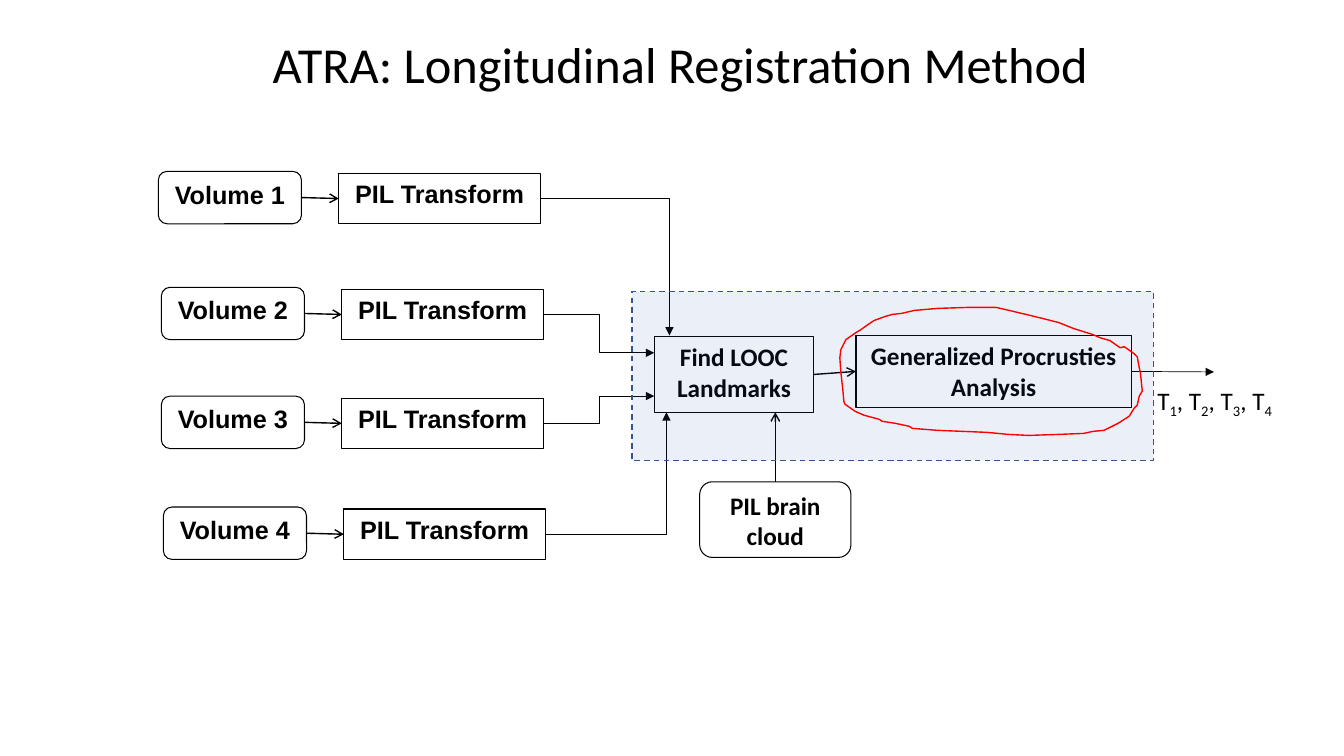
from dataclasses import dataclass

from lxml.etree import SubElement
from pptx import Presentation
from pptx.dml.color import RGBColor
from pptx.enum.dml import MSO_LINE_DASH_STYLE as Dash
from pptx.enum.shapes import MSO_CONNECTOR as Link, MSO_SHAPE as Preset
from pptx.enum.text import MSO_ANCHOR as Anchor, MSO_AUTO_SIZE as AutoSize, PP_ALIGN as Align
from pptx.oxml.ns import qn
from pptx.shapes.autoshape import Shape
from pptx.shapes.connector import Connector
from pptx.util import Emu, Inches, Pt

BLACK = RGBColor(0x00, 0x00, 0x00)
RED = RGBColor(0xFF, 0x00, 0x00)
BLUE = RGBColor(0x44, 0x72, 0xC4)
DARK_BLUE = RGBColor(0x32, 0x54, 0x91)

# The slide is a grid of 75 rows; columns are as wide as rows are high
SLIDE_WIDTH, SLIDE_HEIGHT = Inches(13.33), Inches(7.5)
CELL = SLIDE_HEIGHT // 75
TOP, LEFT, BOTTOM, RIGHT = range(4)


@dataclass(frozen=True)
class Area:
    """A rectangle in columns and rows of the grid."""
    column: float
    row: float
    columns: float
    rows: float

    def emu(self) -> list[Emu]:
        return [cells(n) for n in (self.column, self.row, self.columns, self.rows)]


@dataclass(frozen=True)
class Lane:
    """One volume, its transform and the way into the landmark step."""
    volume: str
    column: float
    axis: float
    entry: tuple[float, float]
    elbow: str


LANES = [
    Lane("Volume 1", 15.7, 19.7, (66.4, 33.3), "bentConnector2"),
    Lane("Volume 2", 16, 31.2, (64.9, 35), "bentConnector3"),
    Lane("Volume 3", 16, 42, (64.9, 39.3), "bentConnector3"),
    Lane("Volume 4", 16.2, 53, (66.1, 40.9), "bentConnector2"),
]

# Hand-drawn loop, in tenths of a cell
MARKER_LOOP = [
    (1111, 345), (1101, 338), (1091, 335), (1084, 332), (1065, 326), (1050, 320),
    (1038, 317), (1026, 314), (1001, 308), (988, 305), (960, 305), (930, 306),
    (907, 308), (894, 311), (885, 312), (878, 314), (867, 318), (861, 322),
    (854, 327), (849, 330), (839, 337), (837, 341), (834, 347), (833, 355),
    (834, 369), (836, 387), (837, 398), (838, 401), (848, 408), (857, 412),
    (872, 416), (875, 418), (888, 420), (902, 423), (905, 425), (930, 427),
    (979, 429), (1000, 431), (1020, 432), (1050, 431), (1075, 430), (1084, 428),
    (1095, 427), (1103, 423), (1109, 420), (1120, 413), (1125, 405), (1128, 402),
    (1130, 393), (1133, 388), (1131, 369), (1130, 365), (1128, 354), (1125, 351),
    (1118, 346), (1115, 344),
]


def cells(count: float) -> Emu:
    return Emu(round(count * CELL))


def add_box(shapes, preset: Preset, area: Area, label: str = "", face: str = "Calibri") -> Shape:
    box = shapes.add_shape(preset, *area.emu())
    box.shadow.inherit = False
    box.fill.background()
    box.line.color.rgb = BLACK
    box.line.width = Pt(0.75)
    if label:
        frame = box.text_frame
        frame.word_wrap = True
        frame.vertical_anchor = Anchor.TOP
        frame.text = label
        paragraph = frame.paragraphs[0]
        paragraph.alignment = Align.CENTER
        font = paragraph.font
        font.name, font.size, font.bold = face, Pt(18), True
        font.color.rgb = BLACK
    return box


def add_arrow(shapes, source: Shape, side: int, end: tuple[float, float] = (0, 0),
              target: Shape | None = None, head: str = "arrow",
              width: float = 1, elbow: str = "") -> Connector:
    """Arrow from a side of source to a grid point, or to target's left side."""
    kind = Link.ELBOW if elbow else Link.STRAIGHT
    arrow = shapes.add_connector(kind, 0, 0, cells(end[0]), cells(end[1]))
    arrow.begin_connect(source, side)
    if target is not None:
        arrow.end_connect(target, LEFT)
    arrow.line.color.rgb = BLACK
    arrow.line.width = Pt(width)
    properties = arrow._element.spPr
    if elbow:
        properties.find(qn("a:prstGeom")).set("prst", elbow)
    SubElement(arrow.line._get_or_add_ln(), qn("a:tailEnd"), type=head)
    SubElement(properties, qn("a:effectLst"))
    return arrow


def add_results(shapes, count: int) -> None:
    """List of the resulting transforms, with subscript numbers."""
    results = shapes.add_textbox(*Area(113.8, 37.7, 14, 4).emu())
    results.text_frame.word_wrap = False
    results.text_frame.auto_size = AutoSize.SHAPE_TO_FIT_TEXT
    paragraph = results.text_frame.paragraphs[0]
    paragraph.font.name, paragraph.font.size = "Calibri", Pt(18)
    paragraph.font.color.rgb = BLACK
    for number in range(1, count + 1):
        paragraph.add_run().text = "T" if number == 1 else ", T"
        subscript = paragraph.add_run()
        subscript.text = str(number)
        subscript._r.get_or_add_rPr().set("baseline", "-25000")


def add_stage_frame(shapes) -> None:
    frame = add_box(shapes, Preset.RECTANGLE, Area(62.7, 28.9, 51.7, 16.8))
    frame.fill.solid()
    frame.fill.fore_color.rgb = BLUE
    colour = frame._element.spPr.find(qn("a:solidFill"))[0]
    SubElement(colour, qn("a:alpha"), val="10000")
    frame.line.color.rgb = DARK_BLUE
    frame.line.width = Pt(1)
    frame.line.dash_style = Dash.DASH


def add_marker(shapes) -> None:
    builder = shapes.build_freeform(*MARKER_LOOP[0], scale=CELL / 10)
    builder.add_line_segments(MARKER_LOOP[1:], close=True)
    marker = builder.convert_to_shape()
    marker.shadow.inherit = False
    marker.fill.background()
    marker.line.color.rgb = RED
    marker.line.width = Pt(1)


def main() -> None:
    deck = Presentation()
    deck.slide_width, deck.slide_height = SLIDE_WIDTH, SLIDE_HEIGHT
    shapes = deck.slides.add_slide(deck.slide_layouts[5]).shapes

    # Title
    title = shapes.title
    title.left, title.top, title.width, title.height = Area(25, 1.7, 85, 9.2).emu()
    title.text_frame.text = "ATRA: Longitudinal Registration Method"
    title.text_frame.vertical_anchor = Anchor.MIDDLE
    title.text_frame.auto_size = AutoSize.NONE
    heading = title.text_frame.paragraphs[0]
    heading.alignment = Align.CENTER
    heading.font.name, heading.font.size = "Calibri", Pt(36)
    heading.font.color.rgb = BLACK

    # Volumes and their transforms
    for lane in LANES:
        volume = add_box(shapes, Preset.ROUNDED_RECTANGLE,
                         Area(lane.column, lane.axis - 2.7, 14.2, 5.2), lane.volume, "Arial")
        transform = add_box(shapes, Preset.RECTANGLE,
                            Area(lane.column + 17.9, lane.axis - 2.5, 20, 5),
                            "PIL Transform", "Arial")
        add_arrow(shapes, volume, RIGHT, target=transform)
        add_arrow(shapes, transform, RIGHT, lane.entry,
                  head="triangle", width=0.5, elbow=lane.elbow)

    # Landmarks, analysis and results
    landmarks = add_box(shapes, Preset.RECTANGLE, Area(64.9, 33.4, 15.8, 7.5),
                        "Find LOOC Landmarks")
    cloud = add_box(shapes, Preset.ROUNDED_RECTANGLE, Area(69.4, 47.8, 15, 7.5),
                    "PIL brain cloud")
    analysis = add_box(shapes, Preset.RECTANGLE, Area(84.9, 33.3, 27.3, 7.1),
                       "Generalized Procrusties Analysis")
    add_arrow(shapes, landmarks, RIGHT, target=analysis)
    add_arrow(shapes, cloud, TOP, (76.9, 40.9))
    add_arrow(shapes, analysis, RIGHT, (120.4, 36.9), head="triangle", width=0.5)
    add_results(shapes, len(LANES))

    # Highlights
    add_stage_frame(shapes)
    add_marker(shapes)
    deck.save("out.pptx")


if __name__ == "__main__":
    main()
